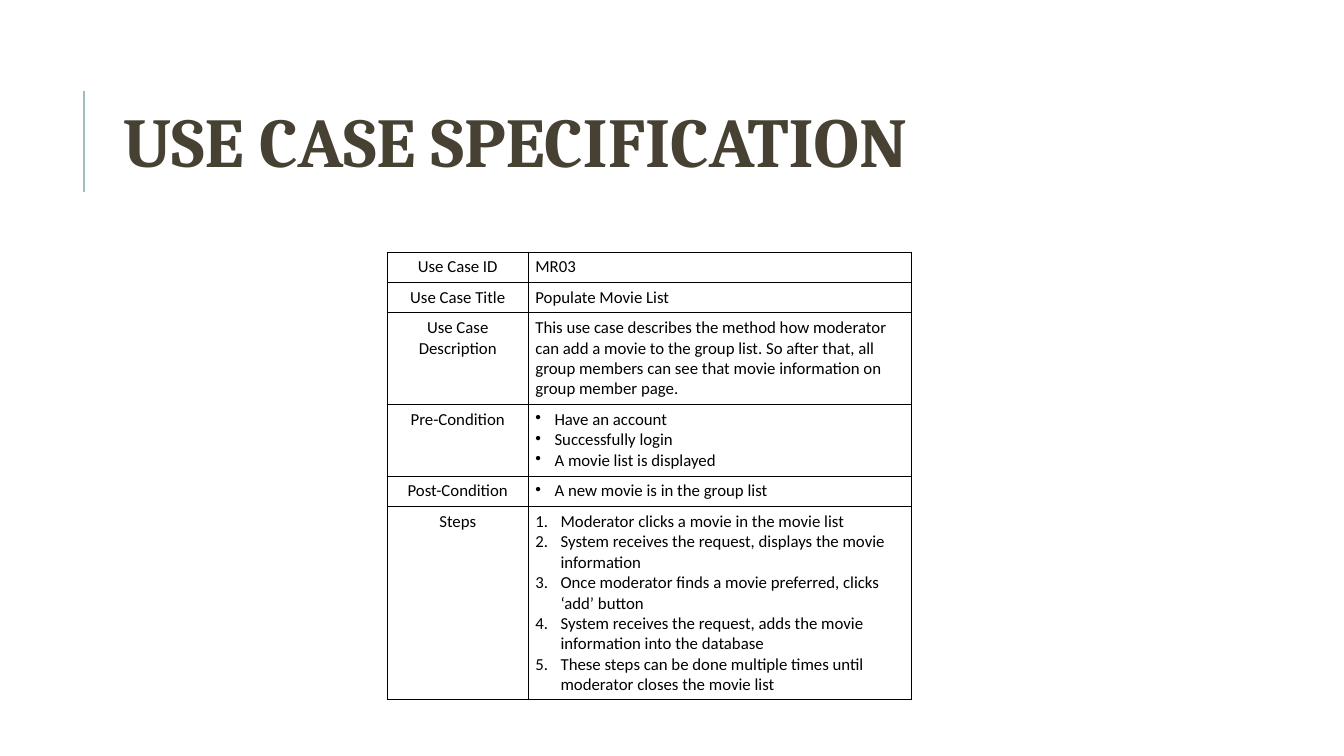
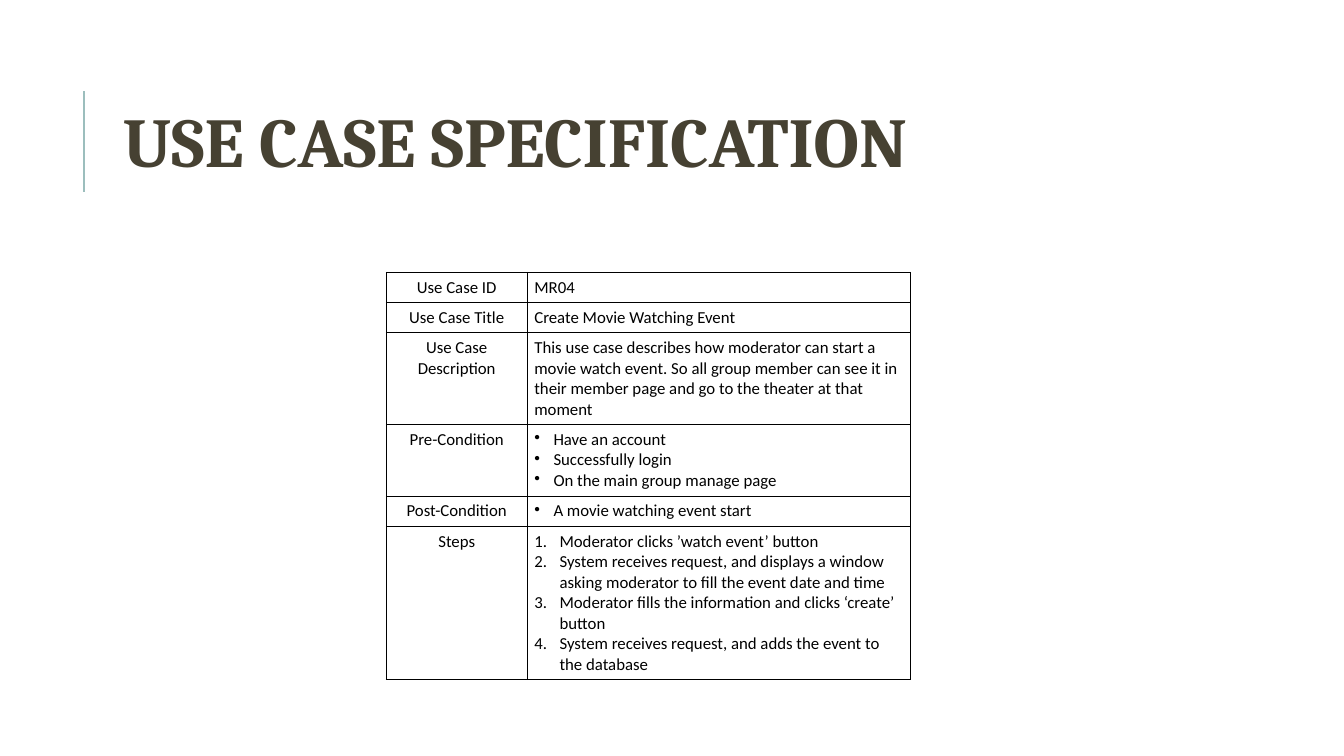
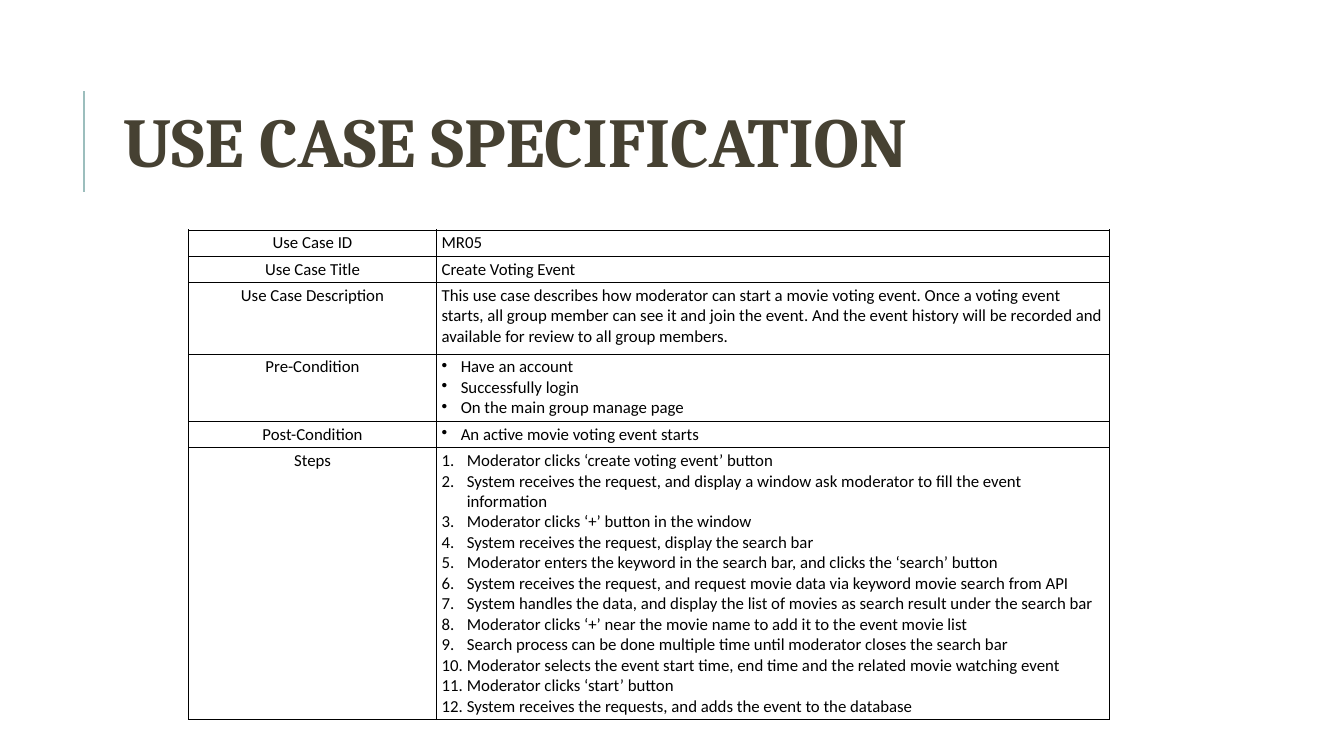
from lxml import etree
from pptx import Presentation
from pptx.dml.color import RGBColor
from pptx.enum.shapes import MSO_CONNECTOR
from pptx.enum.text import MSO_ANCHOR, PP_ALIGN
from pptx.oxml import parse_xml
from pptx.oxml.ns import nsdecls, qn
from pptx.util import Inches, Pt

COLORS = {"title": "464132", "accent": "9CBEBD", "text": "000000", "border": "000000"}
TITLE = "USE CASE SPECIFICATION"
TITLE_FONT, BODY_FONT = "Cambria", "Calibri"

# Row label and list style of the value beside it
FIELDS = [
    ("Use Case ID", None),
    ("Use Case Title", None),
    ("Use Case Description", None),
    ("Pre-Condition", "bullet"),
    ("Post-Condition", "bullet"),
    ("Steps", "number"),
]
# Hanging indent in inches and marker element
LISTS = {
    "bullet": (0.19, '<a:buChar {} char="•"/>'),
    "number": (0.25, '<a:buAutoNum {} type="arabicPeriod"/>'),
}

USE_CASES = [
    {
        "at": (3.84, 2.5), "cols": (1.4, 3.8), "margins": (0.07, 0.05),
        "rows": (0.3, 0.3, 0.91, 0.71, 0.3, 1.92),
        "values": [
            ["MR03"],
            ["Populate Movie List"],
            ["This use case describes the method how moderator can add a movie to the "
             "group list. So after that, all group members can see that movie "
             "information on group member page."],
            ["Have an account", "Successfully login", "A movie list is displayed"],
            ["A new movie is in the group list"],
            ["Moderator clicks a movie in the movie list",
             "System receives the request, displays the movie information",
             "Once moderator finds a movie preferred, clicks ‘add’ button",
             "System receives the request, adds the movie information into the database",
             "These steps can be done multiple times until moderator closes the movie list"],
        ],
    },
    {
        "at": (3.83, 2.7), "cols": (1.4, 3.8), "margins": (0.07, 0.05),
        "rows": (0.3, 0.3, 0.91, 0.71, 0.3, 1.52),
        "values": [
            ["MR04"],
            ["Create Movie Watching Event"],
            ["This use case describes how moderator can start a movie watch event. So "
             "all group member can see it in their member page and go to the theater "
             "at that moment"],
            ["Have an account", "Successfully login", "On the main group manage page"],
            ["A movie watching event start"],
            ["Moderator clicks ’watch event’ button",
             "System receives request, and displays a window asking moderator to fill "
             "the event date and time",
             "Moderator fills the information and clicks ‘create’ button",
             "System receives request, and adds the event to the database"],
        ],
    },
    {
        "at": (1.87, 2.28), "cols": (2.46, 6.67), "margins": (0.05, 0.03),
        "rows": (0.26, 0.26, 0.71, 0.67, 0.26, 2.7),
        "values": [
            ["MR05"],
            ["Create Voting Event"],
            ["This use case describes how moderator can start a movie voting event. Once "
             "a voting event starts, all group member can see it and join the event. And "
             "the event history will be recorded and available for review to all group "
             "members."],
            ["Have an account", "Successfully login", "On the main group manage page"],
            ["An active movie voting event starts"],
            ["Moderator clicks ‘create voting event’ button",
             "System receives the request, and display a window ask moderator to fill "
             "the event information",
             "Moderator clicks ‘+’ button in the window",
             "System receives the request, display the search bar",
             "Moderator enters the keyword in the search bar, and clicks the ‘search’ button",
             "System receives the request, and request movie data via keyword movie "
             "search from API",
             "System handles the data, and display the list of movies as search result "
             "under the search bar",
             "Moderator clicks ‘+’ near the movie name to add it to the event movie list",
             "Search process can be done multiple time until moderator closes the search bar",
             "Moderator selects the event start time, end time and the related movie "
             "watching event",
             "Moderator clicks ‘start’ button",
             "System receives the requests, and adds the event to the database"],
        ],
    },
]


def add_title(slide):
    """Add the heading and the accent rule to its left."""
    rule = slide.shapes.add_connector(
        MSO_CONNECTOR.STRAIGHT, Inches(0.83), Inches(1.9), Inches(0.83), Inches(0.9))
    rule.line.color.rgb = RGBColor.from_string(COLORS["accent"])
    rule.line.width = Pt(1.5)
    etree.SubElement(rule._element.spPr, qn("a:effectLst"))

    box = slide.shapes.add_textbox(Inches(1.12), Inches(0.64), Inches(10.63), Inches(1.64))
    tf = box.text_frame
    tf.word_wrap = True
    tf.vertical_anchor = MSO_ANCHOR.MIDDLE
    tf.text = TITLE
    p = tf.paragraphs[0]
    p.line_spacing = 0.8
    font = p.runs[0].font
    font.name, font.size, font.bold = TITLE_FONT, Pt(50), True
    font.color.rgb = RGBColor.from_string(COLORS["title"])


def fill_cell(cell, lines, margins, align, list_style=None):
    """Write one paragraph per line, with plain fill and thin borders."""
    cell.margin_left = cell.margin_right = Inches(margins[0])
    cell.margin_top = cell.margin_bottom = Inches(margins[1])
    cell.fill.background()
    tcPr = cell._tc.get_or_add_tcPr()
    for i, side in enumerate("LRTB"):
        tcPr.insert(i, parse_xml(
            f'<a:ln{side} {nsdecls("a")} w="{Pt(0.5)}"><a:solidFill>'
            f'<a:srgbClr val="{COLORS["border"]}"/></a:solidFill></a:ln{side}>'))

    tf = cell.text_frame
    tf.text = "\n".join(lines)
    for p in tf.paragraphs:
        p.alignment = align
        font = p.runs[0].font
        font.name, font.size = BODY_FONT, Pt(12)
        font.color.rgb = RGBColor.from_string(COLORS["text"])
        if list_style:
            indent, marker = LISTS[list_style]
            pPr = p._p.get_or_add_pPr()
            pPr.set("marL", str(Inches(indent)))
            pPr.set("indent", str(-Inches(indent)))
            pPr.append(parse_xml(
                f'<a:buClr {nsdecls("a")}><a:srgbClr val="{COLORS["text"]}"/></a:buClr>'))
            pPr.append(parse_xml(marker.format(nsdecls("a"))))


prs = Presentation()
prs.slide_width, prs.slide_height = Inches(13.33), Inches(7.5)

for case in USE_CASES:
    slide = prs.slides.add_slide(prs.slide_layouts[6])
    add_title(slide)

    left, top = case["at"]
    table = slide.shapes.add_table(
        len(FIELDS), 2, Inches(left), Inches(top),
        Inches(sum(case["cols"])), Inches(sum(case["rows"]))).table
    table.first_row = table.horz_banding = False
    for column, width in zip(table.columns, case["cols"]):
        column.width = Inches(width)
    for row, height, (label, list_style), lines in zip(
            table.rows, case["rows"], FIELDS, case["values"]):
        row.height = Inches(height)
        fill_cell(row.cells[0], [label], case["margins"], PP_ALIGN.CENTER)
        fill_cell(row.cells[1], lines, case["margins"], PP_ALIGN.LEFT, list_style)

prs.save("out.pptx")
